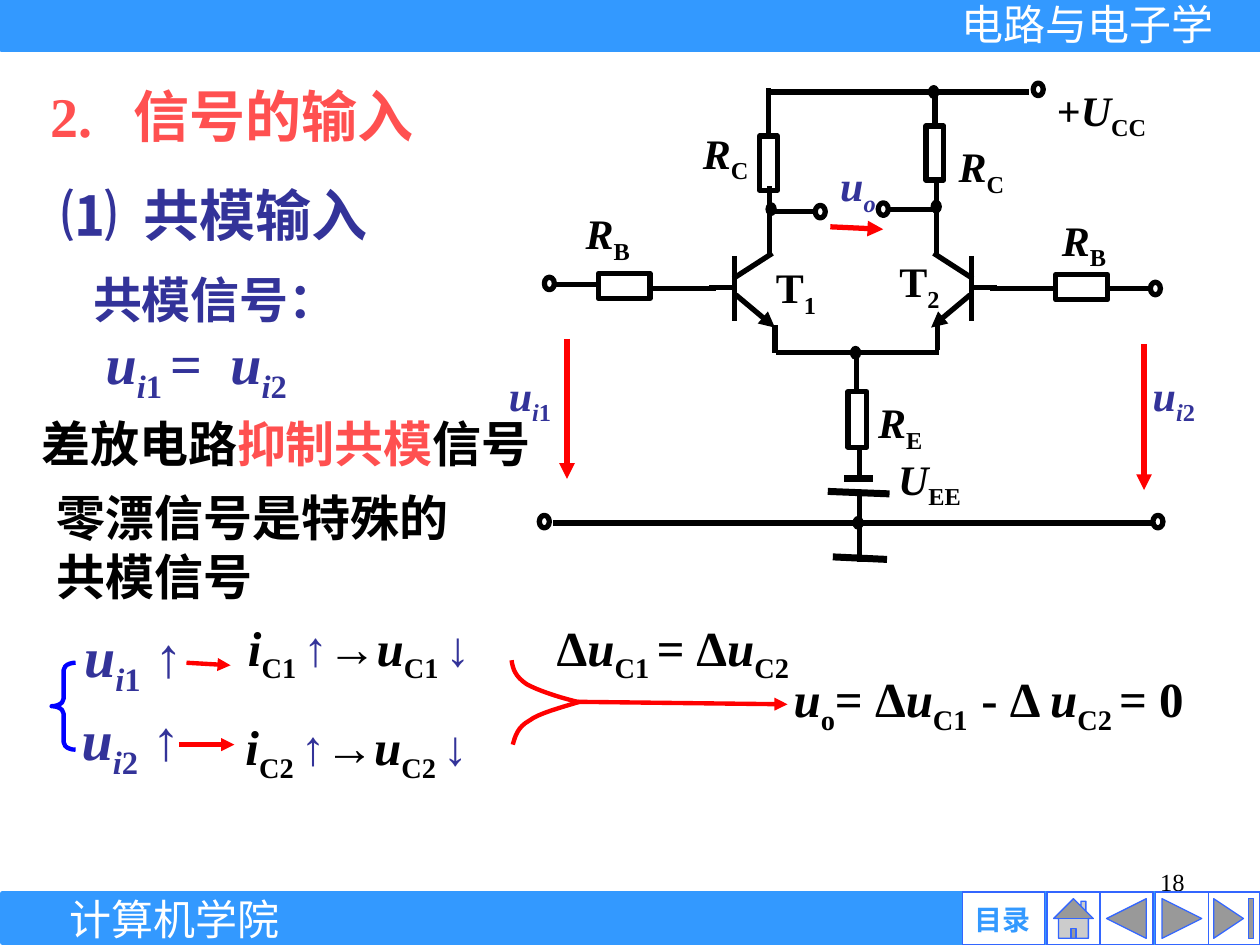
from dataclasses import dataclass

from lxml import etree
from pptx import Presentation
from pptx import util as u
from pptx.dml.color import RGBColor
from pptx.enum import shapes, text
from pptx.oxml import ns

PX = 9144  # EMU per px, 100 px to the inch
COLORS = {"bar": "3399FF", "button": "3366FF", "navy": "333399", "coral": "FF5050",
          "red": "FF0000", "brace": "0000FF", "black": "000000", "white": "FFFFFF"}
SERIF, SANS, CHINESE = "Times New Roman", "Arial", "Noto Sans CJK SC"
SHAPE = shapes.MSO_SHAPE
ALIGN = text.PP_ALIGN


def rgb(name):
    return RGBColor.from_string(COLORS[name])


def add_child(parent, tag, **attributes):
    return etree.SubElement(parent, ns.qn(tag), attributes)


@dataclass
class Region:
    """A box on the slide; every position is measured from its corner."""
    slide: object
    left: int
    top: int

    def place(self, x, y):
        return (self.left + x) * PX, (self.top + y) * PX

    def shape(self, kind, x, y, width, height, fill=None, line="black", weight=3):
        shape = self.slide.shapes.add_shape(kind, *self.place(x, y), width * PX, height * PX)
        self.style(shape, fill, line, weight)
        return shape

    def style(self, shape, fill, line, weight):
        shape.shadow.inherit = False
        if fill:
            shape.fill.solid()
            shape.fill.fore_color.rgb = rgb(fill)
        else:
            shape.fill.background()
        shape.line.color.rgb = rgb(line)
        shape.line.width = u.Pt(weight)

    def line(self, x1, y1, x2, y2, color="black", weight=3, arrow=False):
        connector = self.slide.shapes.add_connector(
            shapes.MSO_CONNECTOR.STRAIGHT, *self.place(x1, y1), *self.place(x2, y2))
        connector.line.color.rgb = rgb(color)
        connector.line.width = u.Pt(weight)
        if arrow:
            add_child(connector.line._get_or_add_ln(), "a:tailEnd", type="triangle")
        add_child(connector._element.spPr, "a:effectLst")

    def curve(self, start, segments, color, weight, steps=8):
        """Draw cubic Bézier segments, each given as three points."""
        points, previous = [], start
        for segment in segments:
            corners = (previous, *segment)
            for step in range(1, steps + 1):
                t = step / steps
                weights = ((1 - t) ** 3, 3 * t * (1 - t) ** 2, 3 * t * t * (1 - t), t ** 3)
                x, y = (sum(w * c[axis] for w, c in zip(weights, corners)) for axis in (0, 1))
                points.append(self.place(x, y))
            previous = segment[-1]
        builder = self.slide.shapes.build_freeform(*self.place(*start))
        builder.add_line_segments(points, close=False)
        self.style(builder.convert_to_shape(), None, color, weight)

    def text(self, x, y, width, height, runs, size, color="black", bold=True, font=SERIF,
             align=ALIGN.LEFT, tight=False, wrap=True, tab=None):
        """Runs are (text, flags, color, font); flag i is italic, s is subscript."""
        box = self.slide.shapes.add_textbox(*self.place(x, y), width * PX, height * PX)
        frame = box.text_frame
        frame.word_wrap = wrap
        frame.auto_size = text.MSO_AUTO_SIZE.SHAPE_TO_FIT_TEXT
        if tight:
            frame.margin_left = frame.margin_right = frame.margin_top = frame.margin_bottom = 0
            frame.vertical_anchor = text.MSO_ANCHOR.MIDDLE
        paragraph = frame.paragraphs[0]
        paragraph.alignment = align
        if tab:
            stops = add_child(paragraph._p.get_or_add_pPr(), "a:tabLst")
            add_child(stops, "a:tab", pos=str(tab * PX), algn="l")
        for content, *options in runs:
            flags, run_color, run_font = (*options, None, None, None)[:3]
            run = paragraph.add_run()
            run.text = content
            run.font.size = u.Pt(size)
            run.font.bold = bold
            run.font.italic = "i" in (flags or "")
            run.font.name = run_font or font
            run.font.color.rgb = rgb(run_color or color)
            properties = run._r.get_or_add_rPr()
            add_child(properties, "a:ea", typeface=CHINESE)
            if "s" in (flags or ""):
                properties.set("baseline", "-25000")


def symbol(name, subscript):
    return [(name, "i"), (subscript, "s")]


def input_symbol(number):
    return [("u", "i"), ("i", "is"), (number, "s")]


def add_header(region):
    region.shape(SHAPE.RECTANGLE, 1, 0, 999, 39, "bar", "bar")
    region.text(763, -1, 244, 40, [("电路与电子学",)], 24, "white", False, SANS, tight=True)


def add_footer(region):
    region.text(717, 0, 233, 52, [("18",)], 14, bold=False, align=ALIGN.RIGHT)
    region.shape(SHAPE.RECTANGLE, 2, 26, 999, 39, "bar", "bar")
    buttons = [(SHAPE.ACTION_BUTTON_END, 958, 42),
               (SHAPE.ACTION_BUTTON_FORWARD_OR_NEXT, 917, 42),
               (SHAPE.ACTION_BUTTON_BACK_OR_PREVIOUS, 873, 42),
               (SHAPE.ACTION_BUTTON_HOME, 831, 42),
               (SHAPE.ACTION_BUTTON_CUSTOM, 764, 65)]
    for kind, x, width in buttons:
        region.shape(kind, x, 25, width, 42, "white", "button", 0.75)
    region.text(764, 33, 63, 27, [("目录",)], 16, "bar", font=SANS,
                align=ALIGN.CENTER, tight=True)
    region.text(55, 26, 167, 40, [("计算机学院",)], 24, "white", False,
                align=ALIGN.CENTER, tight=True, wrap=False)


def add_transistor(region, bar, side):
    """Side is 1 when the collector and emitter lie right of the bar, else -1."""
    region.line(bar - 20 * side, 178, bar + side, 178)
    region.line(bar, 153, bar, 205)
    region.line(bar + side, 184, bar + 32 * side, 210, arrow=True)
    region.line(bar - side, 171, bar + 30 * side, 151)


def add_circuit(region):
    wires = [(211, 23, 417, 23), (210, 20, 210, 57), (342, 22, 342, 49),
             (211, 98, 211, 152), (343, 94, 343, 154), (211, 118, 247, 118),
             (343, 116, 305, 116), (39, 176, 75, 176), (117, 179, 168, 179),
             (386, 179, 437, 179), (479, 179, 515, 179), (215, 208, 215, 230),
             (344, 206, 344, 228), (216, 230, 345, 230), (280, 231, 280, 261),
             (282, 303, 282, 330), (282, 344, 282, 396), (39, 365, 515, 365)]
    for wire in wires:
        region.line(*wire)
    for plate in [(270, 330, 293, 330), (257, 340, 306, 342), (261, 392, 304, 394)]:
        region.line(*plate, weight=4)
    for arrow in [(259, 130, 301, 132), (50, 219, 50, 330), (508, 223, 508, 339)]:
        region.line(*arrow, color="red", arrow=True)
    add_transistor(region, 183, 1)
    add_transistor(region, 371, -1)
    for resistor in [(203, 58, 14, 43), (335, 50, 14, 43), (273, 261, 15, 44),
                     (75, 167, 41, 20), (438, 168, 41, 20)]:
        region.shape(SHAPE.RECTANGLE, *resistor)
    for x, y in [(208, 111), (339, 109), (275, 225), (337, 18), (277, 360)]:
        region.shape(SHAPE.OVAL, x, y, 8, 10, "black", weight=0.75)
    for x, y in [(420, 16), (513, 174), (32, 170), (247, 113), (297, 111),
                 (28, 359), (515, 359)]:
        region.shape(SHAPE.OVAL, x, y, 8, 10)
    labels = [(148, 46, 98, symbol("R", "C")), (351, 57, 85, symbol("R", "C")),
              (55, 110, 73, symbol("R", "B")), (433, 115, 74, symbol("R", "B")),
              (287, 260, 75, symbol("R", "E")), (303, 305, 74, symbol("U", "EE")),
              (429, 12, 111, [("+",), *symbol("U", "CC")]),
              (206, 153, 58, [("T",), ("1", "s")]), (304, 148, 60, [("T",), ("2", "s")])]
    for x, y, width, runs in labels:
        region.text(x, y, width, 50, runs, 24)
    signals = [(-6, 238, 99, input_symbol("1")), (505, 238, 84, input_symbol("2")),
               (257, 72, 69, [("u", "i"), ("o", "is")])]
    for x, y, width, runs in signals:
        region.text(x, y, width, 50, runs, 24, "navy")


def add_explanation(region):
    region.text(0, 0, 361, 63, [("2.\t信号的输入",)], 32, "coral", tab=66)
    region.text(9, 78, 342, 63, [("⑴\t共模输入",)], 32, "navy", tab=65)
    region.text(34, 149, 298, 57, [("共模信号：",)], 28, "navy")
    region.text(44, 196, 246, 63, [*input_symbol("1 "), ("=\t",), *input_symbol("2")],
                32, "navy", tab=99)
    region.text(-7, 263, 510, 57, [("差放电路",), ("抑制共模", "", "coral"), ("信号",)],
                28, font=CHINESE)
    region.text(5, 322, 335, 103, [("零漂",), ("信号", "", None, CHINESE), ("是特殊的",),
                                   ("共模信号", "", None, CHINESE)], 28)


def add_input_chain(region, number, x, y, result_x, result_y):
    """Input rises, collector current rises, collector voltage falls."""
    region.text(x, y, 166, 63, [*input_symbol(number), (" ",), ("↑",)], 32, "navy")
    collector = f"C{number} "
    region.text(result_x, result_y, 280, 57,
                [*symbol("i", collector), ("↑", "", "navy"), ("→",),
                 *symbol("u", collector), ("↓", "", "navy")], 28)


def add_derivation(region):
    add_input_chain(region, "1", 17, 3, 147, 0)
    add_input_chain(region, "2", 15, 69, 145, 79)
    brace = region.shape(SHAPE.LEFT_BRACE, 1, 41, 19, 69, line="brace", weight=2.5)
    brace.adjustments[0] = 0.31
    for arrow in [(108, 41, 143, 43), (102, 106, 146, 106), (416, 72, 585, 74)]:
        region.line(*arrow, color="red", weight=2.5, arrow=True)
    region.curve((366, 39), [((367, 46), (369, 52), (378, 58)),
                             ((387, 63), (402, 68), (418, 72))], "red", 2.5)
    region.curve((367, 106), [((369, 99), (371, 92), (380, 87)),
                              ((388, 81), (404, 77), (420, 72))], "red", 2.5)
    region.text(392, 0, 278, 57, [("Δ",), *symbol("u", "C1 "), ("= ", "i"), ("Δ",),
                                  *symbol("u", "C2")], 28)
    region.text(580, 41, 367, 57, [*symbol("u", "o"), ("= Δ",), *symbol("u", "C1"),
                                   ("\t- Δ ",), *symbol("u", "C2 "), ("= 0",)], 28, tab=149)


def main():
    presentation = Presentation()
    presentation.slide_width, presentation.slide_height = u.Inches(10), u.Inches(7.5)
    slide = presentation.slides.add_slide(presentation.slide_layouts[6])
    add_footer(Region(slide, 0, 683))
    add_header(Region(slide, 0, 0))
    add_circuit(Region(slide, 400, 50))
    add_explanation(Region(slide, 30, 60))
    add_derivation(Region(slide, 40, 485))
    presentation.save("out.pptx")


if __name__ == "__main__":
    main()
